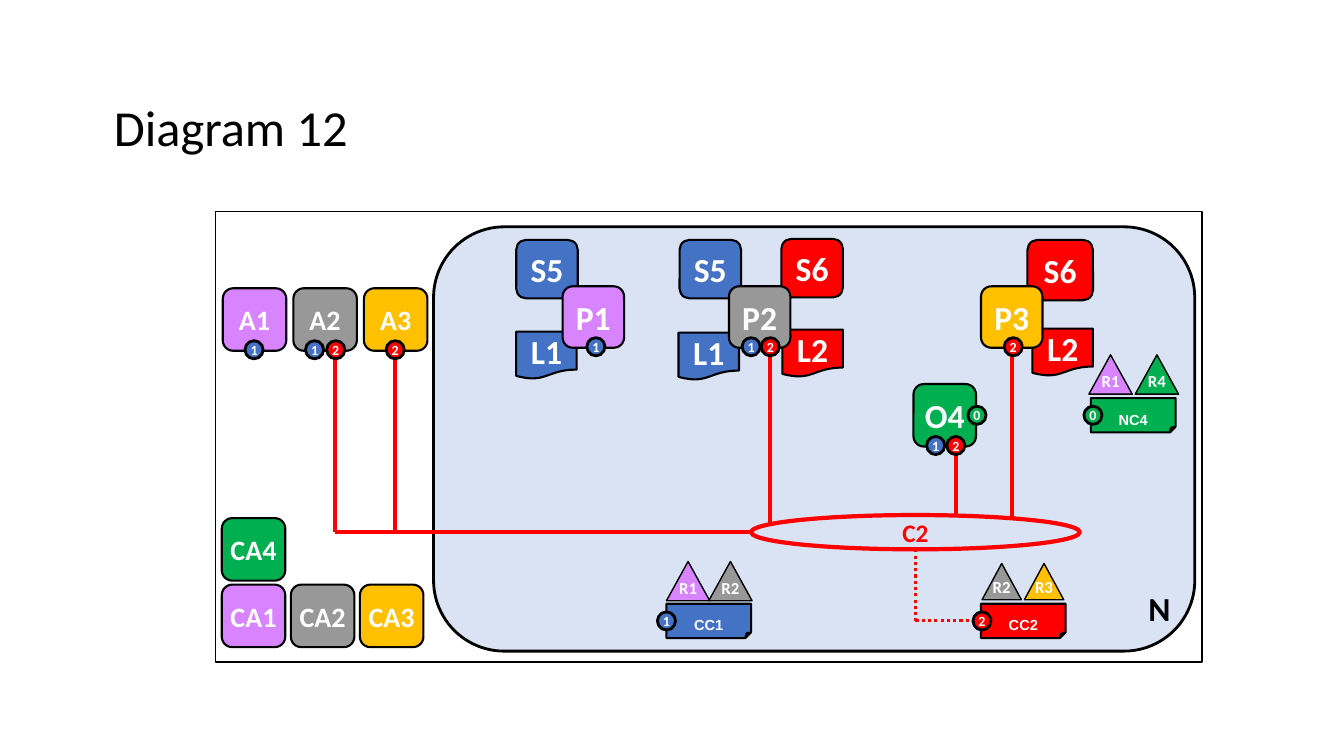
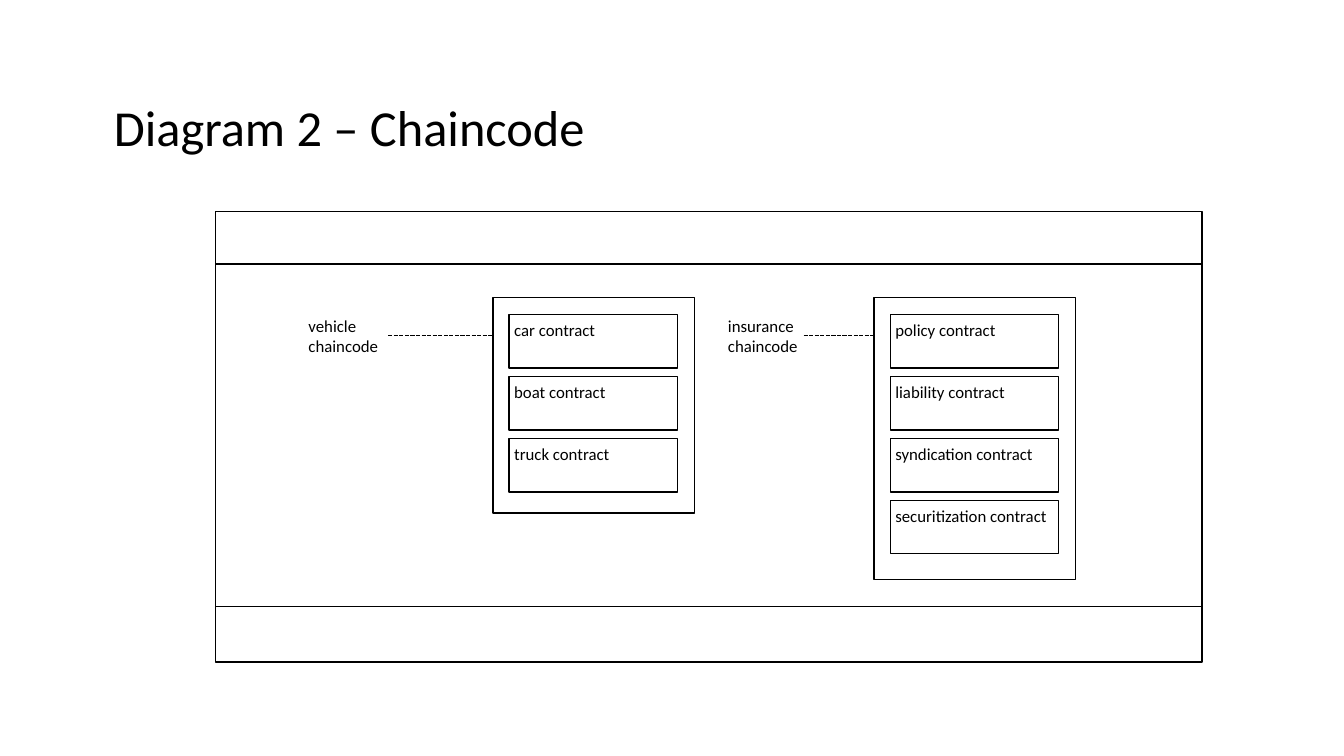
from dataclasses import dataclass
from itertools import pairwise

from lxml.etree import SubElement
from pptx import Presentation
from pptx.dml.color import RGBColor
from pptx.enum.dml import MSO_LINE as Dash
from pptx.enum.shapes import MSO_CONNECTOR as Link, MSO_SHAPE as Shape
from pptx.enum.text import MSO_ANCHOR as Anchor, PP_ALIGN as Align
from pptx.oxml.ns import qn
from pptx.util import Inches, Pt


@dataclass(frozen=True)
class Theme:
    """Colours, fonts and type sizes."""

    black: str = "000000"
    white: str = "FFFFFF"
    panel: str = "DAE3F3"
    blue: str = "4472C4"
    red: str = "FF0000"
    green: str = "00B050"
    violet: str = "D883FF"
    grey: str = "989898"
    amber: str = "FFC000"
    body: str = "Calibri"
    code: str = "Arial"
    title: int = 36
    node: int = 24
    app: int = 20
    channel: int = 18
    note: int = 12
    badge: int = 10


T = Theme()
FRAME = (2.14, 2.1, 9.78, 4.47)


class Deck:
    """Builds slides in one diagram style."""

    def __init__(self):
        self.prs = Presentation()
        self.prs.slide_width, self.prs.slide_height = Inches(13.33), Inches(7.5)
        self.s = None

    def slide(self, title):
        """Starts a slide with its title."""
        self.s = self.prs.slides.add_slide(self.prs.slide_layouts[6])
        tb = self.text((1.08, 0.57, 11.5, 1.45), title, T.title, anchor=Anchor.MIDDLE, wrap=True)
        tb.text_frame.paragraphs[0].line_spacing = 0.9

    def caption(self, sp, text, size, color, bold=True, align=Align.CENTER, anchor=Anchor.MIDDLE,
                pad=(0, 0.05, 0, 0.05), font=T.body, wrap=False):
        """Fills a shape with text."""
        tf = sp.text_frame
        tf.word_wrap, tf.vertical_anchor = wrap, anchor
        tf.margin_left, tf.margin_top, tf.margin_right, tf.margin_bottom = map(Inches, pad)
        tf.text = text
        for p in tf.paragraphs:
            p.alignment = align
            p.font.name, p.font.size, p.font.bold = font, Pt(size), bold
            p.font.color.rgb = RGBColor.from_string(color)

    def text(self, at, text, size, bold=False, align=Align.LEFT, anchor=Anchor.TOP, wrap=False):
        """Adds a text box."""
        tb = self.s.shapes.add_textbox(*map(Inches, at))
        self.caption(tb, text, size, T.black, bold, align, anchor, (0.05,) * 4, wrap=wrap)
        return tb

    def shape(self, kind, at, fill=None, line=T.black, width=1.0):
        """Adds a preset shape."""
        sp = self.s.shapes.add_shape(kind, *map(Inches, at))
        sp.shadow.inherit = False
        if fill:
            sp.fill.solid()
            sp.fill.fore_color.rgb = RGBColor.from_string(fill)
        else:
            sp.fill.background()
        sp.line.color.rgb = RGBColor.from_string(line)
        sp.line.width = Pt(width)
        return sp

    def node(self, text, at, fill, size=T.node, kind=Shape.ROUNDED_RECTANGLE):
        """Adds a labelled node."""
        self.caption(self.shape(kind, at, fill, width=1.5), text, size, T.white)

    def ledger(self, text, x, y, fill):
        """Adds a ledger document."""
        self.node(text, (x, y, 0.6, 0.47), fill, kind=Shape.FLOWCHART_DOCUMENT)

    def config(self, text, x, y, fill):
        """Adds a configuration card."""
        sp = self.shape(Shape.FOLDED_CORNER, (x, y, 0.84, 0.34), fill, width=1.5)
        self.caption(sp, text, T.channel, T.white, pad=(0.04, 0.05, 0.04, 0.08), font=T.code)
        r = sp.text_frame.paragraphs[0].runs[0]
        r.font._element.set("baseline", "-25000")

    def member(self, text, at, fill):
        """Adds a triangle for an organization."""
        sp = self.shape(Shape.ISOSCELES_TRIANGLE, at, fill)
        self.caption(sp, text, T.note, T.white, pad=(0, 0.05, 0, 0.12))

    def badge(self, text, x, y):
        """Adds a numbered channel badge."""
        fill = {"0": T.green, "1": T.blue, "2": T.red}[text]
        sp = self.shape(Shape.OVAL, (x, y, 0.18, 0.18), fill, width=2)
        self.caption(sp, text, T.badge, T.white)

    def wire(self, *points, color=T.red, width=3.0, dash=None):
        """Joins points by straight lines and returns the last."""
        for start, end in pairwise(points):
            c = self.s.shapes.add_connector(Link.STRAIGHT, *map(Inches, start + end))
            c.line.color.rgb = RGBColor.from_string(color)
            c.line.width = Pt(width)
            if dash:
                c.line.dash_style = dash
            SubElement(c._element.spPr, qn("a:effectLst"))
        return c

    def chaincode(self, label, label_x, label_w, x, h, contracts):
        """Adds a labelled chaincode with its contracts."""
        self.shape(Shape.RECTANGLE, (x, 2.95, 2, h), T.white)
        for i, name in enumerate(contracts):
            sp = self.shape(Shape.RECTANGLE, (x + 0.16, 3.12 + i * 0.615, 1.67, 0.53), T.white)
            self.caption(sp, name, T.note, T.black, False, Align.LEFT, Anchor.TOP,
                         (0.05,) * 4, wrap=True)
        tb = self.text((label_x, 3.08, label_w, 0.5), label, T.note)
        c = self.wire((label_x + label_w, 3.33), (x, 3.33), color=T.black, width=1,
                      dash=Dash.SQUARE_DOT)
        c.begin_connect(tb, 3)


def network(deck):
    """Draws the network diagram."""
    deck.slide("Diagram 12")
    deck.shape(Shape.ROUNDED_RECTANGLE, (4.3, 2.25, 7.55, 4.21), T.panel, width=2)
    deck.text((11.28, 5.78, 0.44, 0.5), "N", T.node, True, Align.CENTER)
    deck.shape(Shape.RECTANGLE, FRAME)

    deck.wire((3.32, 3.56), (3.32, 5.28), (7.45, 5.28))
    for x, top, bottom in [(3.92, 3.56, 5.28), (7.64, 3.53, 5.2), (9.48, 4.51, 5.11), (10.04, 3.53, 5.14)]:
        deck.wire((x, top), (x, bottom))
    deck.wire((9.08, 5.45), (9.08, 6.16), (9.65, 6.16), width=2.25, dash=Dash.ROUND_DOT)
    channel = deck.shape(Shape.OVAL, (7.45, 5.11, 3.26, 0.34), line=T.red, width=3)
    deck.caption(channel, "C2", T.channel, T.red)

    for i, fill in enumerate((T.violet, T.grey, T.amber)):
        deck.node(f"A{i + 1}", (2.21 + i * 0.7, 2.86, 0.63, 0.62), fill, T.app)
        deck.node(f"CA{i + 1}", (2.2 + i * 0.685, 5.8, 0.63, 0.62), fill, T.app)
    deck.node("CA4", (2.2, 5.14, 0.63, 0.62), T.green, T.app)
    deck.node("O4", (9.06, 3.81, 0.62, 0.62), T.green)

    for text, x, y, fill in [("L1", 5.12, 3.29, T.blue), ("L1", 6.73, 3.3, T.blue),
                             ("L2", 7.76, 3.27, T.red), ("L2", 10.24, 3.26, T.red)]:
        deck.ledger(text, x, y, fill)
    for text, at, fill in [("S5", (5.12, 2.38, 0.61, 0.58), T.blue),
                           ("S5", (6.74, 2.38, 0.61, 0.58), T.blue),
                           ("S6", (7.75, 2.37, 0.61, 0.58), T.red),
                           ("S6", (10.19, 2.38, 0.65, 0.6), T.red)]:
        deck.node(text, at, fill)
    for text, x, fill in [("P1", 5.58, T.violet), ("P2", 7.23, T.grey), ("P3", 9.73, T.amber)]:
        deck.node(text, (x, 2.84, 0.61, 0.61), fill)

    for text, x, y, fill in [("CC1", 6.61, 5.99, T.blue), ("CC2", 9.73, 5.99, T.red),
                             ("NC4", 10.82, 3.95, T.green)]:
        deck.config(text, x, y, fill)
    for text, at, fill in [("R1", (6.61, 5.57, 0.43, 0.39), T.violet),
                           ("R2", (7.03, 5.57, 0.43, 0.39), T.grey),
                           ("R2", (9.74, 5.59, 0.39, 0.36), T.grey),
                           ("R3", (10.16, 5.59, 0.39, 0.36), T.amber),
                           ("R1", (10.8, 3.52, 0.43, 0.39), T.violet),
                           ("R4", (11.26, 3.52, 0.43, 0.39), T.green)]:
        deck.member(text, at, fill)

    badge_rows = {3.38: [("1", 2.43), ("1", 3.03), ("2", 3.24), ("2", 3.83)],
                  3.35: [("1", 5.82), ("1", 7.36), ("2", 7.55), ("2", 9.96)],
                  4.03: [("0", 9.6), ("0", 10.75)],
                  4.33: [("1", 9.19), ("2", 9.39)],
                  6.07: [("1", 6.52), ("2", 9.65)]}
    for y, row in badge_rows.items():
        for text, x in row:
            deck.badge(text, x, y)


def chaincodes(deck):
    """Draws the chaincode diagram."""
    deck.slide("Diagram 2 – Chaincode")
    deck.shape(Shape.RECTANGLE, FRAME)
    deck.shape(Shape.RECTANGLE, (2.14, 2.62, 9.78, 3.4))
    deck.chaincode("vehicle\nchaincode", 3.01, 0.84, 4.89, 2.14,
                   ["car contract", "boat contract", "truck contract"])
    deck.chaincode("insurance\nchaincode", 7.17, 0.8, 8.67, 2.8,
                   ["policy contract", "liability contract", "syndication contract",
                    "securitization contract"])


def main():
    """Builds and saves the deck."""
    deck = Deck()
    network(deck)
    chaincodes(deck)
    deck.prs.save("out.pptx")


if __name__ == "__main__":
    main()
